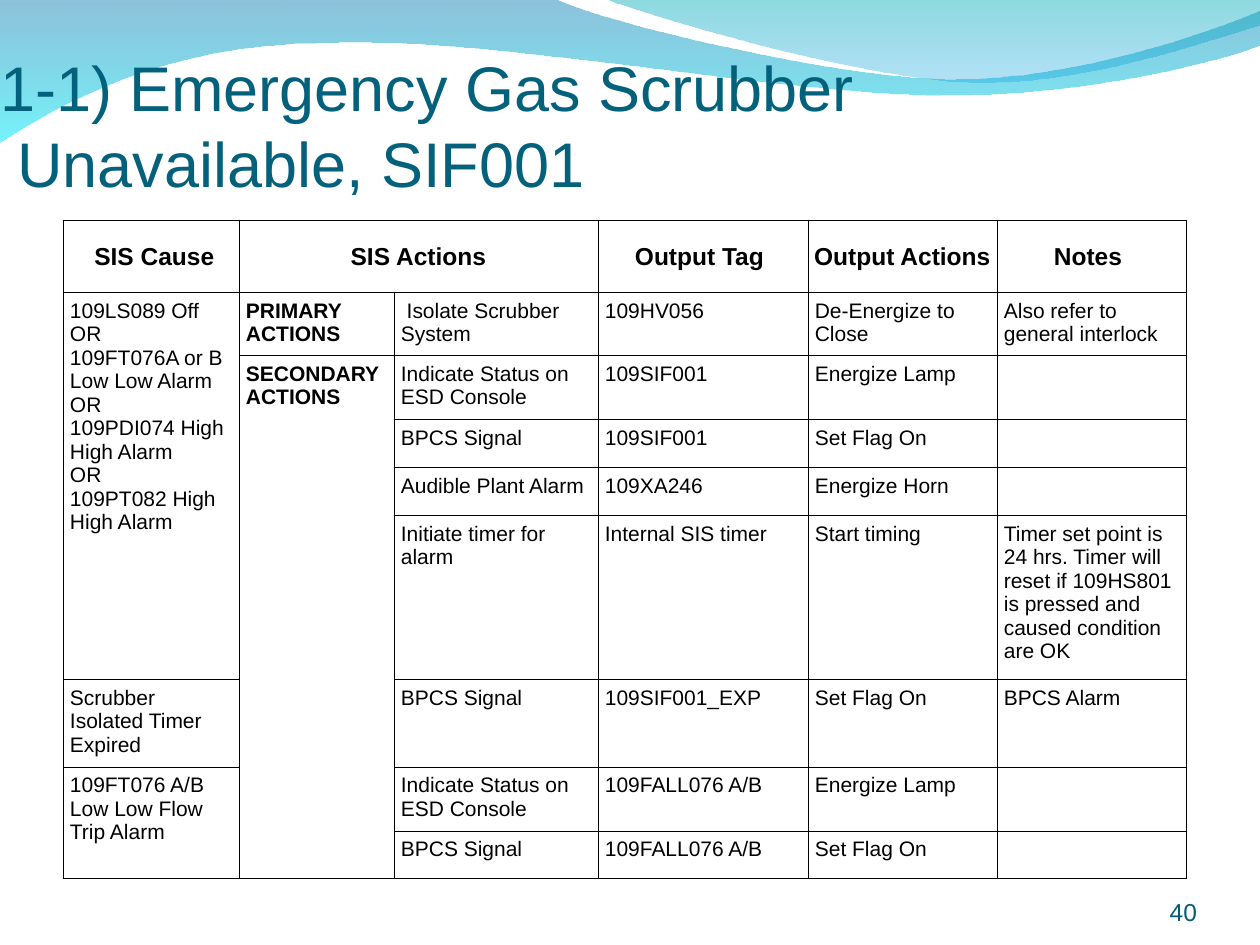
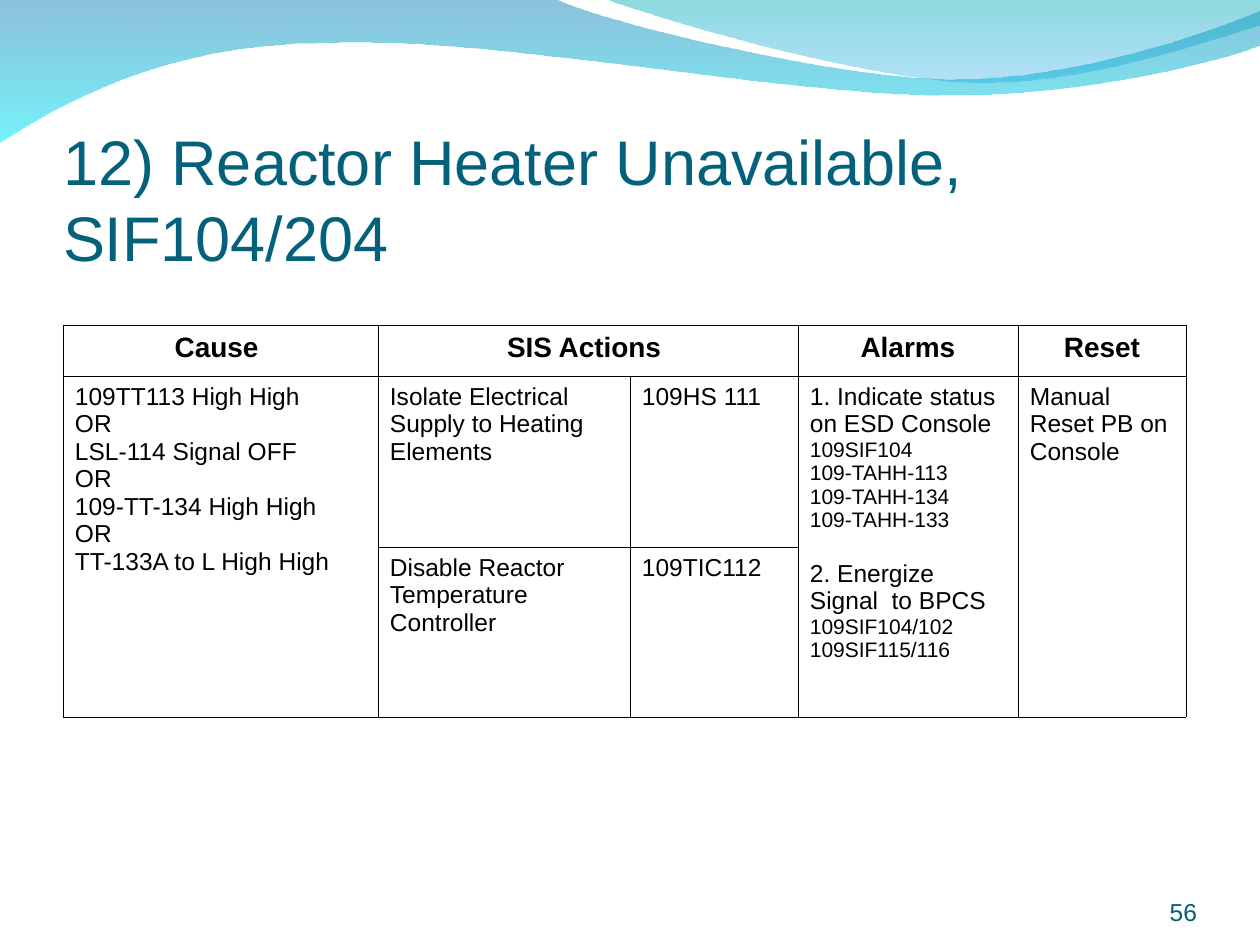
from dataclasses import dataclass
from typing import Any, NamedTuple

from lxml.etree import SubElement
from pptx import Presentation
from pptx.dml.color import RGBColor as Rgb
from pptx.enum.text import MSO_ANCHOR as Anchor, MSO_AUTO_SIZE as AutoSize, PP_ALIGN as Align
from pptx.oxml.ns import qn
from pptx.util import Emu, Pt

EMU_PER_PX = 914400 / 126


@dataclass(frozen=True)
class Theme:
    """Colours, font and type sizes of the deck."""
    font: str = "Arial"
    title: str = "04617B"
    number: str = "045C75"
    ink: str = "000000"
    title_size: int = 36
    number_size: int = 14
    small_size: int = 12
    border: float = 0.45


class Box(NamedTuple):
    """Left, top, width and height in px."""
    left: int
    top: int
    width: int
    height: int


class Stop(NamedTuple):
    """Gradient colour with its opacity in percent."""
    color: str
    opacity: int


class Wave(NamedTuple):
    """Outline whose steps hold one point for a line or three for a curve."""
    start: tuple[int, int]
    steps: list[tuple[tuple[int, int], ...]]
    stops: tuple[Stop, Stop]


class Line(NamedTuple):
    """Cell paragraph with an optional own size and a gap above, in points."""
    text: str
    size: int | None = None
    gap: int = 0


@dataclass(frozen=True)
class Grid:
    """Table place, track sizes, contents, merged areas and text rules."""
    left: int
    top: int
    columns: list[int]
    rows: list[int]
    cells: list[list[str | list[Line]]]
    merges: list[tuple[int, int, int, int]]
    header_size: int
    body_size: int
    header_anchor: Anchor
    left_inset: int
    right_insets: list[int]
    bold_column: int | None = None


@dataclass(frozen=True)
class Page:
    """One interlock slide."""
    title: str
    title_box: Box
    number: int
    grid: Grid


THEME = Theme()
NUMBER_BOX = Box(1092, 876, 105, 50)
WAVES = [
    Wave((0, 0), [
        ((557, 0),),
        ((600, 21), (837, 79), (955, 79)),
        ((1075, 79), (1207, 33), (1260, 11)),
        ((1260, 45),),
        ((1239, 55), (1096, 96), (940, 95)),
        ((781, 95), (481, 35), (324, 43)),
        ((163, 44), (58, 105), (0, 142)),
    ], (Stop("0079AF", 45), Stop("00EBF8", 55))),
    Wave((607, 0), [
        ((642, 14), (859, 78), (969, 82)),
        ((1079, 87), (1211, 40), (1260, 26)),
        ((1260, 0),),
    ], (Stop("00ADB6", 45), Stop("009BE5", 30))),
]

SCRUBBER = Grid(
    63, 220, [176, 155, 204, 210, 189, 189], [72, 63, 64, 48, 48, 164, 88, 64, 48],
    [
        [" SIS Cause", "SIS Actions", "", "Output Tag ", "Output Actions", "Notes "],
        ["109LS089 Off\nOR\n109FT076A or B Low Low Alarm\nOR\n"
         "109PDI074 High High Alarm\nOR\n109PT082 High High Alarm",
         "PRIMARY ACTIONS", " Isolate Scrubber System", "109HV056",
         "De-Energize to Close", "Also refer to general interlock"],
        ["", "SECONDARY ACTIONS", "Indicate Status on ESD Console", "109SIF001", "Energize Lamp", ""],
        ["", "", "BPCS Signal", "109SIF001", "Set Flag On", ""],
        ["", "", "Audible Plant Alarm", "109XA246", "Energize Horn", ""],
        ["", "", "Initiate timer for alarm", "Internal SIS timer", "Start timing",
         "Timer set point is 24 hrs. Timer will reset if 109HS801 is pressed and caused condition are OK"],
        ["Scrubber Isolated Timer Expired", "", "BPCS Signal", "109SIF001_EXP", "Set Flag On", "BPCS Alarm"],
        ["109FT076 A/B Low Low Flow Trip Alarm", "", "Indicate Status on ESD Console",
         "109FALL076 A/B", "Energize Lamp", ""],
        ["", "", "BPCS Signal", "109FALL076 A/B", "Set Flag On", ""],
    ],
    [(0, 1, 0, 2), (1, 0, 5, 0), (2, 1, 8, 1), (7, 0, 8, 0)],
    14, 12, Anchor.MIDDLE, 7, [12, 12, 12, 12, 6, 6], 1,
)

SMALL = THEME.small_size
HEATER = Grid(
    63, 325, [315, 252, 168, 220, 168], [51, 171, 170],
    [
        ["Cause ", "SIS Actions ", "", "Alarms", "Reset"],
        ["109TT113 High High\nOR\nLSL-114 Signal OFF\nOR\n"
         "109-TT-134 High High\nOR\nTT-133A to L High High",
         "Isolate Electrical Supply to Heating Elements", "109HS 111",
         [Line("1. Indicate status on ESD Console"), Line("109SIF104", SMALL),
          Line("109-TAHH-113", SMALL), Line("109-TAHH-134", SMALL), Line("109-TAHH-133", SMALL),
          Line("2. Energize Signal  to BPCS", gap=16),
          Line("109SIF104/102", SMALL), Line("109SIF115/116", SMALL)],
         "Manual Reset PB on Console"],
        ["", "Disable Reactor Temperature Controller", "109TIC112", "", ""],
    ],
    [(0, 1, 0, 2), (1, 0, 2, 0), (1, 3, 2, 3), (1, 4, 2, 4)],
    16, 14, Anchor.TOP, 12, [12] * 5,
)

PAGES = [
    Page("1-1) Emergency Gas Scrubber\v Unavailable, SIF001", Box(0, 42, 1134, 158), 40, SCRUBBER),
    Page("12) Reactor Heater Unavailable, SIF104/204", Box(63, 116, 1134, 158), 56, HEATER),
]


def px(length: float) -> Emu:
    """Turn px into EMU."""
    return Emu(round(length * EMU_PER_PX))


def apply(target: Any, values: dict[str, Any]) -> None:
    """Set every named attribute on the target."""
    for name, value in values.items():
        setattr(target, name, value)


def style_runs(paragraph: Any, size: int, color: str, bold: bool = False) -> None:
    """Format all runs of a paragraph."""
    for run in paragraph.runs:
        apply(run.font, {"name": THEME.font, "size": Pt(size), "bold": bold})
        run.font.color.rgb = Rgb.from_string(color)


def bend_curves(shape: Any, wave: Wave) -> None:
    """Join each three lines of a curve step into one cubic curve."""
    lines = iter(list(shape.element.iter(qn("a:lnTo"))))
    for step in wave.steps:
        segments = [next(lines) for _ in step]
        if len(segments) == 3:
            first = segments[0]
            first.tag = qn("a:cubicBezTo")
            for segment in segments[1:]:
                first.append(segment[0])
                segment.getparent().remove(segment)


def draw_wave(slide: Any, wave: Wave) -> Any:
    """Draw a translucent gradient wave."""
    points = [(px(x), px(y)) for step in wave.steps for x, y in step]
    builder = slide.shapes.build_freeform(*map(px, wave.start), scale=1.0)
    builder.add_line_segments(points, close=True)
    shape = builder.convert_to_shape()
    bend_curves(shape, wave)
    shape.shadow.inherit = False
    shape.line.fill.background()
    shape.fill.gradient()
    shape.fill.gradient_angle = 270
    for gradient_stop, stop in zip(shape.fill.gradient_stops, wave.stops):
        gradient_stop.color.rgb = Rgb.from_string(stop.color)
    for color, stop in zip(shape.element.iter(qn("a:srgbClr")), wave.stops):
        SubElement(color, qn("a:alpha"), val=str(stop.opacity * 1000))
    return shape


def prepare_master(master: Any, slide: Any) -> None:
    """Put the waves and the title size where all slides share them."""
    for index, wave in enumerate(WAVES):
        element = draw_wave(slide, wave).element
        element.nvSpPr.cNvPr.id = 100 + index
        master.element.cSld.spTree.insert(2 + index, element)
    title_style = master.element.find(".//" + qn("p:titleStyle"))
    title_style.find(".//" + qn("a:defRPr")).set("sz", str(THEME.title_size * 100))


def place_text(shape: Any, text: str, box: Box, size: int, color: str,
               align: Align, top_inset: int) -> None:
    """Place bottom-anchored text in a box."""
    apply(shape, dict(zip(("left", "top", "width", "height"), map(px, box))))
    frame = shape.text_frame
    apply(frame, {"word_wrap": True, "auto_size": AutoSize.NONE, "vertical_anchor": Anchor.BOTTOM,
                  "margin_left": 0, "margin_right": 0, "margin_bottom": 0, "margin_top": px(top_inset)})
    paragraph = frame.paragraphs[0]
    paragraph.text = text
    paragraph.alignment = align
    style_runs(paragraph, size, color)


def border_cell(cell: Any) -> None:
    """Give a cell thin solid borders and no fill."""
    properties = cell._tc.get_or_add_tcPr()
    for side in ("a:lnL", "a:lnR", "a:lnT", "a:lnB"):
        line = SubElement(properties, qn(side), w=str(Pt(THEME.border)))
        SubElement(SubElement(line, qn("a:solidFill")), qn("a:srgbClr"), val=THEME.ink)
    cell.fill.background()


def fill_cell(cell: Any, content: str | list[Line], size: int, bold: bool, align: Align) -> None:
    """Write the paragraphs of a cell."""
    frame = cell.text_frame
    if not content:
        SubElement(frame.paragraphs[0]._p, qn("a:endParaRPr"), sz=str(size * 100))
        return
    lines = [Line(text) for text in content.split("\n")] if isinstance(content, str) else content
    for index, line in enumerate(lines):
        paragraph = frame.add_paragraph() if index else frame.paragraphs[0]
        paragraph.text = line.text
        paragraph.alignment = align
        if line.gap:
            paragraph.space_before = Pt(line.gap)
        style_runs(paragraph, line.size or size, THEME.ink, bold)


def draw_grid(slide: Any, grid: Grid) -> None:
    """Draw the cause and action table."""
    table = slide.shapes.add_table(len(grid.rows), len(grid.columns), px(grid.left), px(grid.top),
                                   px(sum(grid.columns)), px(sum(grid.rows))).table
    apply(table, {"first_row": False, "horz_banding": False})
    for column, width in zip(table.columns, grid.columns):
        column.width = px(width)
    for row, height in zip(table.rows, grid.rows):
        row.height = px(height)
    for row_index, contents in enumerate(grid.cells):
        header = row_index == 0
        for column_index, content in enumerate(contents):
            cell = table.cell(row_index, column_index)
            right_inset = grid.right_insets[column_index]
            border_cell(cell)
            apply(cell, {"margin_left": px(right_inset if header else grid.left_inset),
                         "margin_right": px(right_inset), "margin_top": px(7), "margin_bottom": px(6),
                         "vertical_anchor": grid.header_anchor if header else Anchor.TOP})
            fill_cell(cell, content, grid.header_size if header else grid.body_size,
                      header or column_index == grid.bold_column,
                      Align.CENTER if header else Align.LEFT)
    for top, left, bottom, right in grid.merges:
        table.cell(top, left).merge(table.cell(bottom, right))


def draw_page(slide: Any, page: Page) -> None:
    """Draw title, table and slide number."""
    place_text(slide.shapes.title, page.title, page.title_box, THEME.title_size, THEME.title,
               Align.LEFT, 6)
    draw_grid(slide, page.grid)
    number = slide.shapes.add_textbox(*map(px, NUMBER_BOX))
    place_text(number, str(page.number), NUMBER_BOX, THEME.number_size, THEME.number, Align.RIGHT, 0)


def main() -> None:
    """Build and save the deck."""
    presentation = Presentation()
    apply(presentation, {"slide_width": px(1260), "slide_height": px(945)})
    slides = [presentation.slides.add_slide(presentation.slide_layouts[5]) for _ in PAGES]
    prepare_master(presentation.slide_master, slides[0])
    for slide, page in zip(slides, PAGES):
        draw_page(slide, page)
    presentation.save("out.pptx")


if __name__ == "__main__":
    main()
